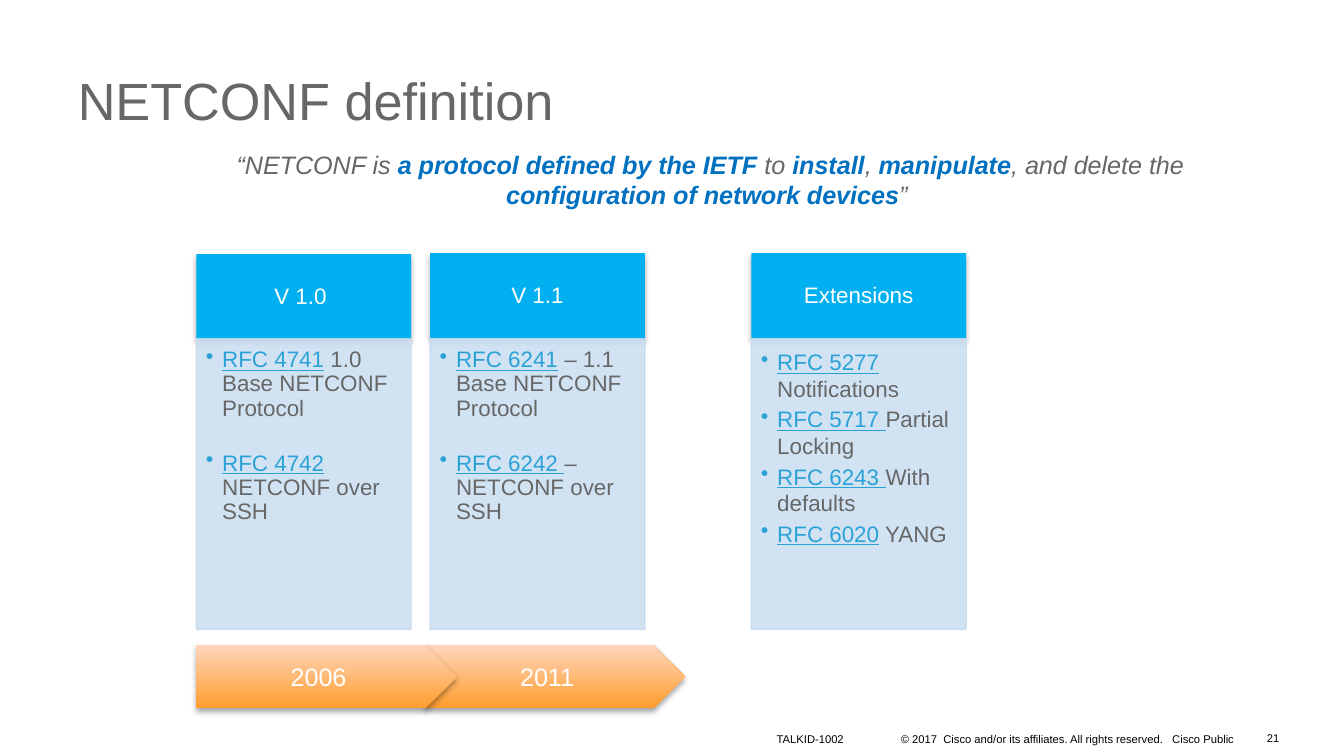
from lxml import etree
from pptx import Presentation
from pptx import util as u
from pptx.dml import color as dml
from pptx.enum import shapes, text
from pptx.oxml import ns

GREY, WHITE, BLACK = "676767", "FFFFFF", "000000"
LINK, STRONG = "2BA2D7", "0070C0"
color = dml.RGBColor.from_string


def write(shape, paragraphs, size=12, tint=GREY, align="LEFT", anchor="MIDDLE",
          insets=(0.25, 0.13, 0.25, 0.13), wrap=True, spacing=1.0, after=0,
          bullet=False, italic=False, accent=None):
    frame = shape.text_frame
    frame.word_wrap = wrap
    frame.auto_size = text.MSO_AUTO_SIZE.NONE
    frame.vertical_anchor = text.MSO_ANCHOR[anchor]
    (frame.margin_left, frame.margin_top,
     frame.margin_right, frame.margin_bottom) = map(u.Cm, insets)
    for index, runs in enumerate(paragraphs):
        paragraph = frame.paragraphs[0] if index == 0 else frame.add_paragraph()
        if bullet:
            properties = paragraph._p.get_or_add_pPr()
            properties.set("marL", str(u.Cm(0.31)))
            properties.set("indent", str(u.Cm(-0.31)))
            etree.SubElement(properties, ns.qn("a:buChar"), char="•")
        paragraph.alignment = text.PP_ALIGN[align]
        paragraph.line_spacing = spacing
        paragraph.space_before = u.Pt(0)
        paragraph.space_after = u.Pt(after)
        for content, kind in runs:
            run = paragraph.add_run()
            run.text = content
            font = run.font
            font.name, font.size, font.italic = "Arial", u.Pt(size), italic
            font.bold, font.underline = kind == "strong", kind == "link"
            font.color.rgb = color(accent if kind else tint)


def add_shadow(shape):
    effects = etree.SubElement(shape._element.spPr, ns.qn("a:effectLst"))
    shadow = etree.SubElement(effects, ns.qn("a:outerShdw"), blurRad=str(u.Pt(3.1)),
                              dist=str(u.Pt(1.8)), dir="5400000", rotWithShape="0")
    black = etree.SubElement(shadow, ns.qn("a:srgbClr"), val=BLACK)
    etree.SubElement(black, ns.qn("a:alpha"), val="35000")


presentation = Presentation()
presentation.slide_width, presentation.slide_height = u.Cm(25.4), u.Cm(14.28)
slide = presentation.slides.add_slide(presentation.slide_layouts[5])

title = slide.shapes.title
title.left, title.top, title.width, title.height = map(u.Cm, (1.22, 0.94, 23.19, 2.03))
write(title, [[("NETCONF definition", None)]], size=28, spacing=0.9)

quote = ["“NETCONF is ", "a protocol defined by the IETF ", "to ", "install", ", ",
         "manipulate", ", and delete the ", "configuration of network devices", "” "]
quote_box = slide.shapes.add_textbox(*map(u.Cm, (3.71, 2.69, 19.43, 1.8)))
write(quote_box, [[(part, "strong" if index % 2 else None) for index, part in enumerate(quote)]],
      size=13.5, align="CENTER", anchor="TOP", italic=True, accent=STRONG)

footers = [
    ("TALKID-1002", 14.5, 13.74, 1.98, 0.43, "LEFT", "BOTTOM"),
    ("© 2017  Cisco and/or its affiliates. All rights reserved.   Cisco Public",
     16.64, 13.74, 6.86, 0.43, "RIGHT", "BOTTOM"),
    ("21", 23.37, 13.56, 0.99, 0.76, "RIGHT", "MIDDLE"),
]
for content, left, top, width, height, align, anchor in footers:
    footer = slide.shapes.add_textbox(*map(u.Cm, (left, top, width, height)))
    write(footer, [[(content, None)]], size=6, tint=BLACK, align=align, anchor=anchor,
          insets=(0.18, 0.08, 0.18, 0.08))

columns = [
    ("V 1.0 ", 3.71, 4.8, 0.9, 16.5,
     [("RFC 4741", " 1.0 Base NETCONF Protocol"), ("RFC 4742", " NETCONF over SSH")]),
    ("V 1.1", 8.13, 4.78, 0.9, 16.5,
     [("RFC 6241", " – 1.1 Base NETCONF Protocol"), ("RFC 6242 ", "– NETCONF over SSH")]),
    ("Extensions", 14.2, 4.78, 1.0, 1.8,
     [("RFC 5277 ", "Notifications"), ("RFC 5717 ", "Partial Locking"),
      ("RFC 6243 ", "With defaults"), ("RFC 6020", " YANG")]),
]
for heading, left, top, spacing, after, items in columns:
    header = slide.shapes.add_shape(shapes.MSO_SHAPE.RECTANGLE,
                                    *map(u.Cm, (left, top, 4.06, 1.63)))
    header.fill.solid()
    header.fill.fore_color.rgb = color("00B0F0")
    header.line.fill.background()
    add_shadow(header)
    write(header, [[(heading, None)]], tint=WHITE, align="CENTER", spacing=0.9)

    body = slide.shapes.add_shape(shapes.MSO_SHAPE.RECTANGLE,
                                  *map(u.Cm, (left, 6.4, 4.06, 5.49)))
    body.shadow.inherit = False
    body.line.width = u.Pt(0.75)
    body.fill.solid()
    body.fill.fore_color.rgb = color("CCE0F2")
    body.line.color.rgb = color("C7DBEE")
    for shade in body._element.spPr.iter(ns.qn("a:srgbClr")):
        etree.SubElement(shade, ns.qn("a:alpha"), val="90000")
    write(body, [[(link, "link"), (rest, None)] for link, rest in items], anchor="TOP",
          insets=(0.18, 0.18, 0.23, 0.25), spacing=spacing, after=after,
          bullet=True, accent=LINK)

for year, left in [("2011", 8.03), ("2006", 3.71)]:
    arrow = slide.shapes.add_shape(shapes.MSO_SHAPE.PENTAGON,
                                   *map(u.Cm, (left, 12.19, 4.92, 1.19)))
    arrow.adjustments[0] = 0.5
    arrow.fill.gradient()
    arrow.fill.gradient_angle = 90
    for stop, shade in zip(arrow.fill.gradient_stops, ("FF9D2D", "FFD5BC")):
        stop.color.rgb = color(shade)
    arrow.line.fill.background()
    add_shadow(arrow)
    write(arrow, [[(year, None)]], size=13.5, tint=WHITE, align="CENTER",
          insets=(0.18, 0.08, 0.18, 0.08), wrap=False)

presentation.save("out.pptx")
